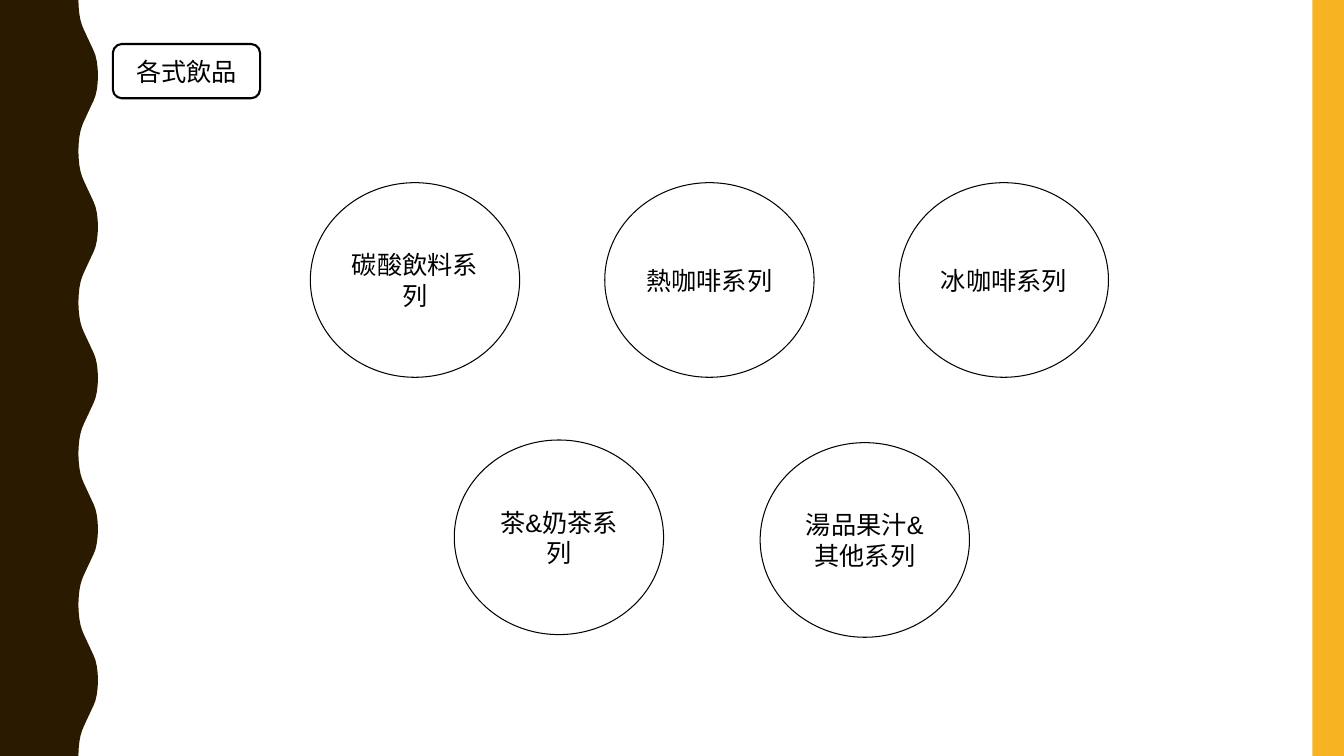
import pptx
import pptx.util
import pptx.dml.color
import pptx.enum.shapes
import pptx.enum.text

Pt = pptx.util.Pt
KIND = pptx.enum.shapes.MSO_SHAPE
WIDE, HIGH = 960, 540
DARK, GOLD, BLACK = "2A1A00", "F8B323", "000000"

# Half a wave of the left edge, from trough to crest: x, y
HALF = [(56, 0), (56.2, 5), (56.7, 10), (57.5, 14.4), (58.6, 18),
        (59.8, 21), (61.2, 24), (62.6, 27), (64, 30), (65.4, 33),
        (66.8, 36), (68.2, 39.6), (69.2, 44), (69.8, 49), (70, 54)]
WAVES = 5

DRINKS = ["碳酸飲料系列", "熱咖啡系列", "冰咖啡系列"]
OTHERS = [("茶&奶茶系列", 324.5, 314.3), ("湯品果汁&其他系列", 543, 316.2)]


def color(code):
    return pptx.dml.color.RGBColor.from_string(code)


def paint(shape, code):
    """Fill a shape plainly, with no outline and no shadow."""
    shape.shadow.inherit = False
    shape.fill.solid()
    shape.fill.fore_color.rgb = color(code)
    shape.line.fill.background()


def add_wave(slide):
    step = HIGH / WAVES
    wave = HALF + [(x, step - y) for x, y in HALF[-2::-1]]
    edge = [(x, y + step * i) for i in range(WAVES) for x, y in wave]
    form = slide.shapes.build_freeform(0, 0)
    form.add_line_segments(
        [(Pt(x), Pt(y)) for x, y in edge + [(0, HIGH)]], close=True)
    paint(form.convert_to_shape(), DARK)


def add_band(slide):
    left = 937.5
    band = slide.shapes.add_shape(
        KIND.RECTANGLE, Pt(left), 0, Pt(WIDE - left), Pt(HIGH))
    paint(band, GOLD)


def add_label(slide, kind, text, box, font, line):
    """Add an outlined shape with centred text."""
    shape = slide.shapes.add_shape(kind, *map(Pt, box))
    shape.shadow.inherit = False
    shape.fill.background()
    shape.line.color.rgb = color(BLACK)
    shape.line.width = Pt(line)
    frame = shape.text_frame
    frame.word_wrap = True
    frame.vertical_anchor = pptx.enum.text.MSO_ANCHOR.MIDDLE
    para = frame.paragraphs[0]
    para.alignment = pptx.enum.text.PP_ALIGN.CENTER
    run = para.add_run()
    run.text = text
    run.font.name = font
    run.font.size = Pt(18)
    run.font.color.rgb = color(BLACK)


def add_drink(slide, text, left, top):
    add_label(slide, KIND.OVAL, text, (left, top, 149.5, 139), "Arial", 0.75)


def main():
    deck = pptx.Presentation()
    deck.slide_width, deck.slide_height = Pt(WIDE), Pt(HIGH)
    slide = deck.slides.add_slide(deck.slide_layouts[6])
    add_wave(slide)
    add_band(slide)
    add_label(slide, KIND.ROUNDED_RECTANGLE, "各式飲品",
              (80.6, 31.4, 105.2, 38.8), "Cabin", 1.5)
    for i, text in enumerate(DRINKS):
        add_drink(slide, text, 221.7 + 210.3 * i, 130.5)
    for text, left, top in OTHERS:
        add_drink(slide, text, left, top)
    deck.save("out.pptx")


if __name__ == "__main__":
    main()
